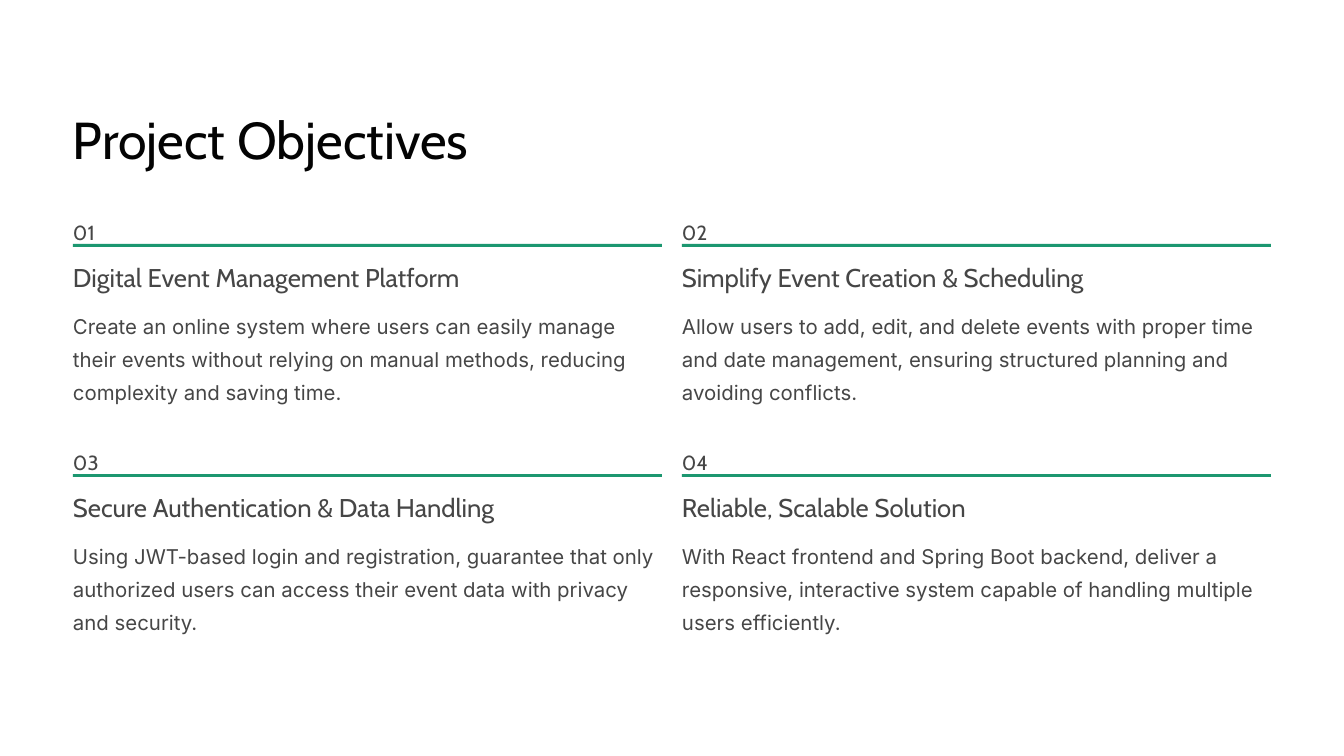
import pptx
import pptx.dml.color
import pptx.enum.shapes
import pptx.util

EMU_PER_PX = 914400 / 84
COLORS = {"title": "030303", "text": "464646", "rule": "1C9770"}
LEFT, TOP = 73, 211
COLUMN_WIDTH, COLUMN_STEP, ROW_STEP = 589, 609, 230

# Heading, heading width in px, description
OBJECTIVES = [
    ("Digital Event Management Platform", 442,
     "Create an online system where users can easily manage their events "
     "without relying on manual methods, reducing complexity and saving time."),
    ("Simplify Event Creation & Scheduling", 465,
     "Allow users to add, edit, and delete events with proper time and date "
     "management, ensuring structured planning and avoiding conflicts."),
    ("Secure Authentication & Data Handling", 491,
     "Using JWT-based login and registration, guarantee that only authorized "
     "users can access their event data with privacy and security."),
    ("Reliable, Scalable Solution", 326,
     "With React frontend and Spring Boot backend, deliver a responsive, "
     "interactive system capable of handling multiple users efficiently."),
]


def px(length):
    return pptx.util.Emu(round(length * EMU_PER_PX))


def rgb(name):
    return pptx.dml.color.RGBColor.from_string(COLORS[name])


def add_text(slide, text, left, top, width, height, *, size, leading,
             font="Cabin", color="text", wrap=False):
    """Add a text box without margins; size and leading are in points."""
    box = slide.shapes.add_textbox(px(left), px(top), px(width), px(height))
    frame = box.text_frame
    frame.margin_left = frame.margin_right = 0
    frame.margin_top = frame.margin_bottom = 0
    frame.word_wrap = wrap
    paragraph = frame.paragraphs[0]
    paragraph.line_spacing = pptx.util.Pt(leading)
    run = paragraph.add_run()
    run.text = text
    run.font.name = font
    run.font.size = pptx.util.Pt(size)
    run.font.color.rgb = rgb(color)


def add_rule(slide, left, top):
    rule = slide.shapes.add_shape(
        pptx.enum.shapes.MSO_SHAPE.RECTANGLE,
        px(left), px(top), px(COLUMN_WIDTH), px(3))
    rule.shadow.inherit = False
    rule.fill.solid()
    rule.fill.fore_color.rgb = rgb("rule")
    rule.line.fill.background()


def add_objective(slide, index, heading, heading_width, description):
    row, column = divmod(index, 2)
    left = LEFT + column * COLUMN_STEP
    top = TOP + row * ROW_STEP
    add_text(slide, f"{index + 1:02}", left, top, 30, 26,
             size=17.5, leading=28.5)
    add_rule(slide, left, top + 33)
    add_text(slide, heading, left, top + 50, heading_width, 33,
             size=22, leading=27.5)
    add_text(slide, description, left, top + 94, COLUMN_WIDTH, 100,
             size=17.5, leading=28.5, font="Inter", wrap=True)


def main():
    presentation = pptx.Presentation()
    presentation.slide_width = px(1344)
    presentation.slide_height = px(756)
    slide = presentation.slides.add_slide(presentation.slide_layouts[6])

    add_text(slide, "Project Objectives", LEFT, 105, 521, 66,
             size=44.5, leading=55.5, color="title")
    for index, objective in enumerate(OBJECTIVES):
        add_objective(slide, index, *objective)

    presentation.save("out.pptx")


if __name__ == "__main__":
    main()
